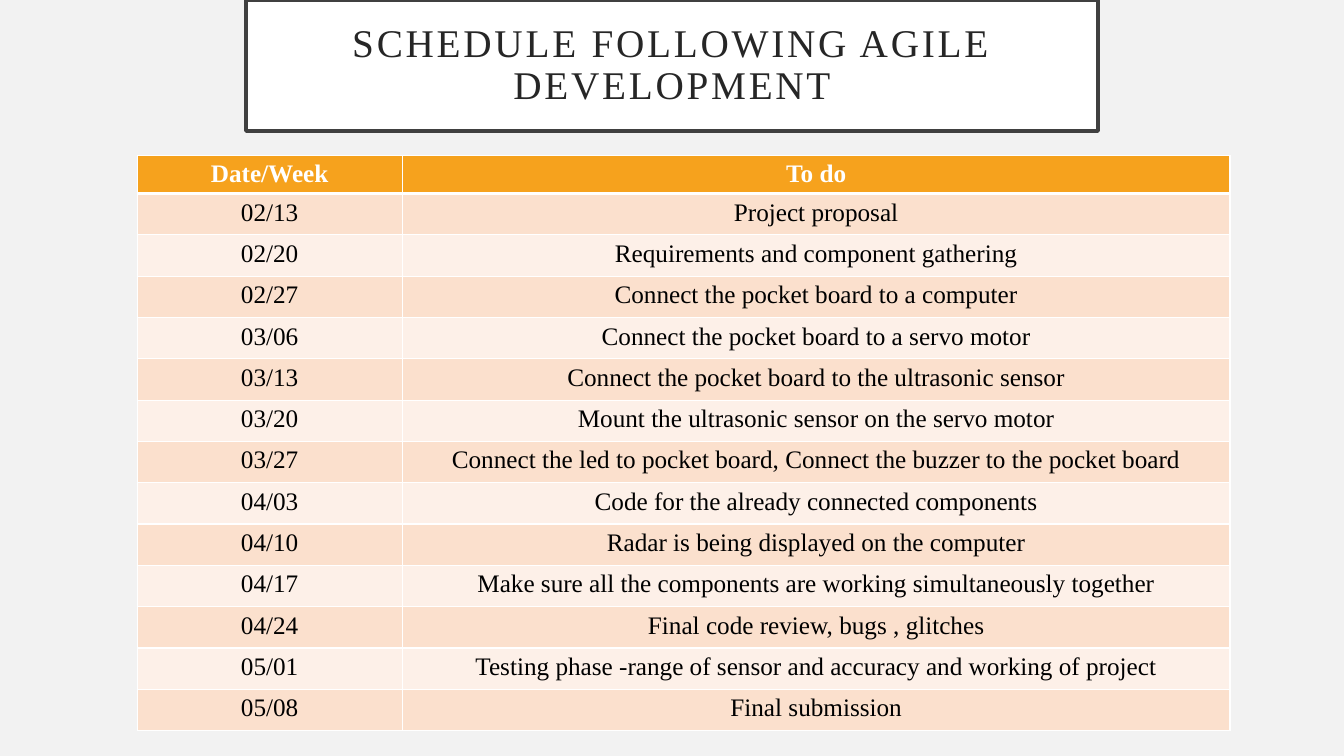
from lxml import etree
from pptx import Presentation
from pptx.dml.color import RGBColor
from pptx.enum import shapes, text
from pptx.oxml import ns
from pptx.util import Inches, Pt

SCHEDULE = [
    ("Date/Week", "To do"),
    ("02/13", "Project proposal"),
    ("02/20", "Requirements and component gathering"),
    ("02/27", "Connect the pocket board to a computer"),
    ("03/06", "Connect the pocket board to a servo motor"),
    ("03/13", "Connect the pocket board to the ultrasonic sensor"),
    ("03/20", "Mount the ultrasonic sensor on the servo motor"),
    ("03/27", "Connect the led to pocket board, Connect the buzzer to the pocket board"),
    ("04/03", "Code for the already connected components"),
    ("04/10", "Radar is being displayed on the computer"),
    ("04/17", "Make sure all the components are working simultaneously together"),
    ("04/24", "Final code review, bugs , glitches"),
    ("05/01", "Testing phase -range of sensor and accuracy and working of project"),
    ("05/08", "Final submission"),
]


def color(value):
    return RGBColor.from_string(value)


class ScheduleSlide:
    font_name = "Times New Roman"
    header_fill = "F6A21D"
    band_fills = ("FDF0E8", "FBE0CD")

    def __init__(self, presentation):
        self.slide = presentation.slides.add_slide(presentation.slide_layouts[6])
        self.fill(self.slide.background, "F2F2F2")

    def fill(self, target, value):
        target.fill.solid()
        target.fill.fore_color.rgb = color(value)

    def style(self, paragraph, size, value, bold=False):
        paragraph.alignment = text.PP_ALIGN.CENTER
        paragraph.font.name = self.font_name
        paragraph.font.size = Pt(size)
        paragraph.font.bold = bold
        paragraph.font.color.rgb = color(value)

    def title(self, wording, left, top, width, height):
        shape = self.slide.shapes.add_shape(
            shapes.MSO_SHAPE.RECTANGLE,
            Inches(left), Inches(top), Inches(width), Inches(height))
        shape.shadow.inherit = False
        self.fill(shape, "FFFFFF")
        shape.line.color.rgb = color("404040")
        shape.line.width = Pt(2.5)
        frame = shape.text_frame
        frame.word_wrap = True
        frame.vertical_anchor = text.MSO_ANCHOR.MIDDLE
        frame.margin_left = frame.margin_right = Inches(0.2)
        frame.margin_top = frame.margin_bottom = Inches(0.2)
        paragraph = frame.paragraphs[0]
        paragraph.line_spacing = 0.9
        run = paragraph.add_run()
        run.text = wording
        run._r.get_or_add_rPr().set("spc", "200")
        self.style(paragraph, 28, "262626")

    def borders(self, cell, bottom_width):
        properties = cell._tc.get_or_add_tcPr()
        widths = {"a:lnL": 1, "a:lnR": 1, "a:lnT": 1, "a:lnB": bottom_width}
        for position, (tag, width) in enumerate(widths.items()):
            line = etree.Element(ns.qn(tag), w=str(Pt(width)))
            solid = etree.SubElement(line, ns.qn("a:solidFill"))
            etree.SubElement(solid, ns.qn("a:srgbClr"), val="FFFFFF")
            properties.insert(position, line)

    def table(self, rows, left, top, column_widths, header_height, row_height):
        height = header_height + row_height * (len(rows) - 1)
        table = self.slide.shapes.add_table(
            len(rows), len(column_widths), Inches(left), Inches(top),
            Inches(sum(column_widths)), Inches(height)).table
        for column, width in zip(table.columns, column_widths):
            column.width = Inches(width)
        for index, values in enumerate(rows):
            header = index == 0
            table.rows[index].height = Inches(header_height if header else row_height)
            for cell, wording in zip(table.rows[index].cells, values):
                cell.text = wording
                self.fill(cell, self.header_fill if header else self.band_fills[index % 2])
                self.style(cell.text_frame.paragraphs[0], 18,
                           "FFFFFF" if header else "000000", header)
                self.borders(cell, 3 if header else 1)


def main():
    presentation = Presentation()
    presentation.slide_width = Inches(13.33)
    presentation.slide_height = Inches(7.5)
    schedule = ScheduleSlide(presentation)
    schedule.title("SCHEDULE FOLLOWING AGILE DEVELOPMENT", 2.44, 0, 8.45, 1.3)
    schedule.table(SCHEDULE, 1.36, 1.54, (2.63, 8.21), 0.38, 0.41)
    presentation.save("out.pptx")


if __name__ == "__main__":
    main()
